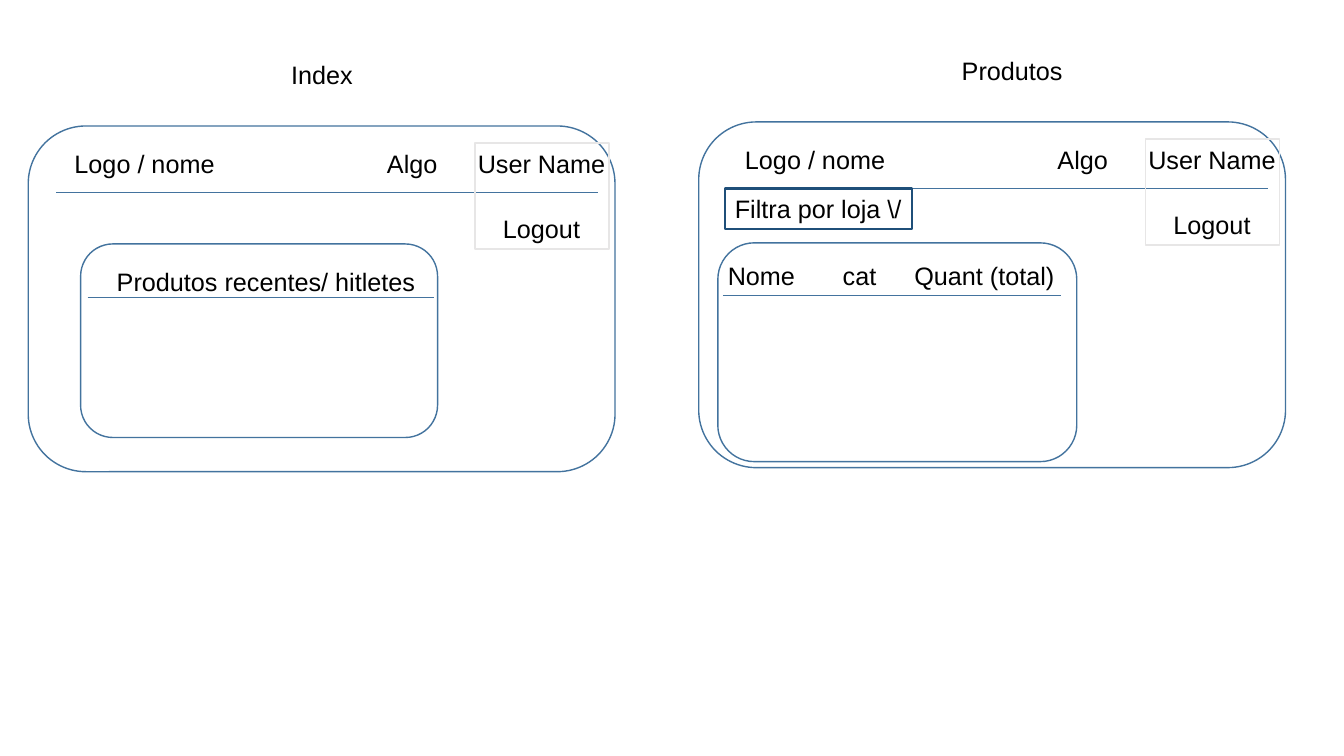
"""Wireframes of the index and product pages, side by side."""
from dataclasses import dataclass
from typing import Any

import pptx
import pptx.dml.color
import pptx.enum.shapes
import pptx.enum.text
import pptx.oxml.ns
import pptx.util
from lxml import etree

Inches = pptx.util.Inches
RGBColor = pptx.dml.color.RGBColor
Shape = pptx.enum.shapes.MSO_SHAPE

BLACK = RGBColor(0x00, 0x00, 0x00)
WHITE = RGBColor(0xFF, 0xFF, 0xFF)
BLUE = RGBColor(0x43, 0x73, 0x9E)
DARK_BLUE = RGBColor(0x1F, 0x4F, 0x79)
LIGHT_GRAY = RGBColor(0xE7, 0xE6, 0xE6)
LABEL_HEIGHT = 0.4


@dataclass(frozen=True)
class Label:
    text: str
    left: float
    top: float
    width: float


@dataclass(frozen=True)
class Box:
    left: float
    top: float
    width: float
    height: float
    color: RGBColor = BLUE
    weight: float = 1
    rounded: bool = True


@dataclass(frozen=True)
class Rule:
    left: float
    right: float
    top: float


@dataclass(frozen=True)
class Page:
    left: float
    top: float
    title: Label


@dataclass(frozen=True)
class Panel:
    box: Box
    rule: Rule
    labels: tuple[Label, ...]


PAGES = (
    Page(0.28, 1.25, Label("Index", 2.51, -0.71, 0.83)),
    Page(6.93, 1.21, Label("Produtos", 2.51, -0.71, 1.22)),
)
PAGE_FRAME = Box(0, 0, 5.82, 3.43)
PAGE_RULE = Rule(0.28, 5.65, 0.66)
USER_MENU = Box(4.43, 0.17, 1.33, 1.05, LIGHT_GRAY, rounded=False)
PAGE_LABELS = (
    Label("Logo / nome", 0.36, 0.17, 1.62),
    Label("Logout", 4.61, 0.82, 1),
    Label("User Name", 4.36, 0.17, 1.52),
    Label("Algo", 3.46, 0.17, 0.73),
)
PANELS = (
    Panel(
        Box(0.8, 2.42, 3.54, 1.92),
        Rule(0.87, 4.3, 2.95),
        (Label("Produtos recentes/ hitletes", 1.06, 2.59, 3.2),),
    ),
    Panel(
        Box(7.12, 2.41, 3.56, 2.17),
        Rule(7.17, 10.52, 2.93),
        (
            Label("Nome", 7.12, 2.53, 0.9),
            Label("cat", 8.26, 2.53, 0.58),
            Label("Quant (total)", 8.97, 2.53, 1.62),
        ),
    ),
)
FILTER_BOX = Box(7.19, 1.87, 1.86, LABEL_HEIGHT, DARK_BLUE, 1.5, rounded=False)


def write_text(shape: Any, text: str) -> None:
    frame = shape.text_frame
    frame.word_wrap = False
    frame.auto_size = pptx.enum.text.MSO_AUTO_SIZE.SHAPE_TO_FIT_TEXT
    frame.vertical_anchor = pptx.enum.text.MSO_ANCHOR.TOP
    paragraph = frame.paragraphs[0]
    paragraph.alignment = pptx.enum.text.PP_ALIGN.LEFT
    run = paragraph.add_run()
    run.text = text
    run.font.name = "Arial"
    run.font.size = pptx.util.Pt(18)
    run.font.color.rgb = BLACK


def draw_label(shapes: Any, label: Label, left: float = 0, top: float = 0) -> None:
    shape = shapes.add_textbox(
        Inches(left + label.left), Inches(top + label.top),
        Inches(label.width), Inches(LABEL_HEIGHT),
    )
    write_text(shape, label.text)


def draw_box(shapes: Any, box: Box, left: float = 0, top: float = 0) -> Any:
    shape = shapes.add_shape(
        Shape.ROUNDED_RECTANGLE if box.rounded else Shape.RECTANGLE,
        Inches(left + box.left), Inches(top + box.top),
        Inches(box.width), Inches(box.height),
    )
    shape.shadow.inherit = False
    if box.rounded:
        shape.fill.solid()
        shape.fill.fore_color.rgb = WHITE
    else:
        shape.fill.background()
    shape.line.color.rgb = box.color
    shape.line.width = pptx.util.Pt(box.weight)
    return shape


def draw_rule(shapes: Any, rule: Rule, left: float = 0, top: float = 0) -> None:
    height = Inches(top + rule.top)
    connector = shapes.add_connector(
        pptx.enum.shapes.MSO_CONNECTOR.STRAIGHT,
        Inches(left + rule.left), height, Inches(left + rule.right), height,
    )
    connector.line.color.rgb = BLUE
    connector.line.width = pptx.util.Pt(0.5)
    properties = connector._element.spPr
    etree.SubElement(properties, pptx.oxml.ns.qn("a:effectLst"))


def draw_page(slide: Any, page: Page) -> None:
    shapes = slide.shapes.add_group_shape().shapes
    draw_box(shapes, PAGE_FRAME, page.left, page.top)
    draw_rule(shapes, PAGE_RULE, page.left, page.top)
    draw_box(shapes, USER_MENU, page.left, page.top)
    for label in (*PAGE_LABELS, page.title):
        draw_label(shapes, label, page.left, page.top)


def draw_panel(slide: Any, panel: Panel) -> None:
    draw_box(slide.shapes, panel.box)
    draw_rule(slide.shapes, panel.rule)
    for label in panel.labels:
        draw_label(slide.shapes, label)


def main() -> None:
    presentation = pptx.Presentation()
    presentation.slide_width = Inches(13.33)
    presentation.slide_height = Inches(7.5)
    slide = presentation.slides.add_slide(presentation.slide_layouts[6])
    for page in PAGES:
        draw_page(slide, page)
    for panel in PANELS:
        draw_panel(slide, panel)
    write_text(draw_box(slide.shapes, FILTER_BOX), "Filtra por loja \\/")
    presentation.save("out.pptx")


if __name__ == "__main__":
    main()
